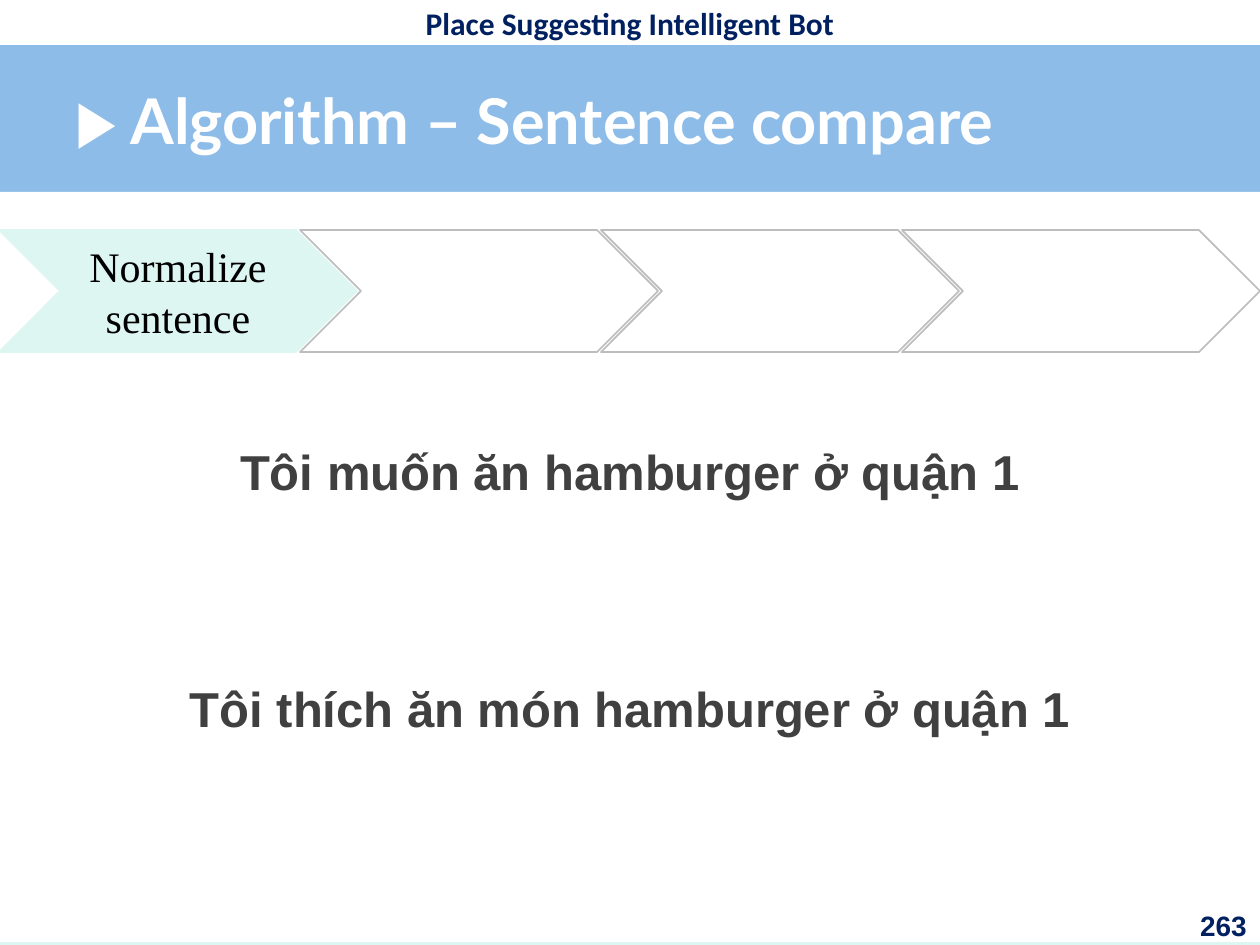
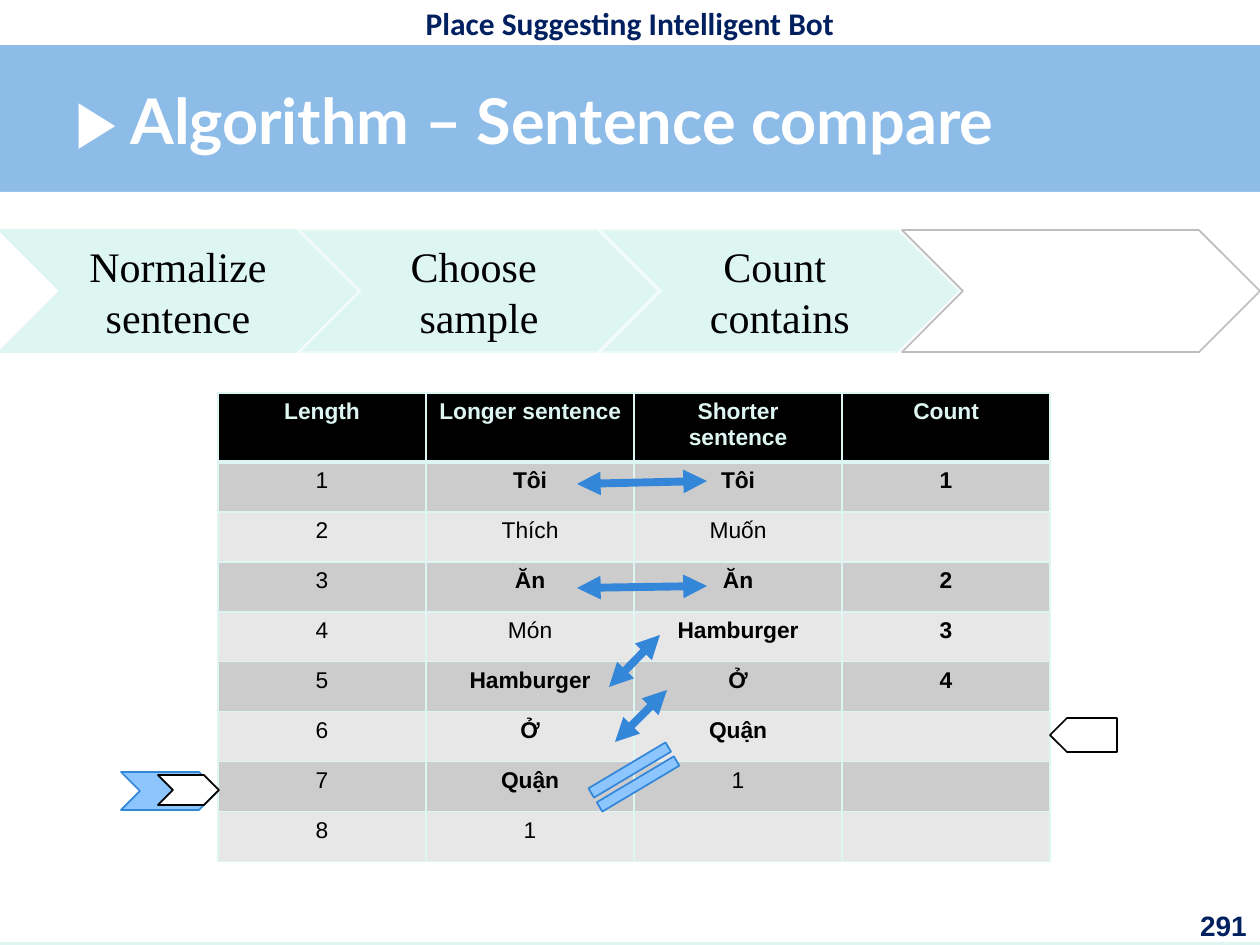
import pptx
import pptx.util
import pptx.dml.color
import pptx.enum.shapes
import pptx.enum.text
import pptx.oxml
import pptx.oxml.ns

# Content
TOPIC = "Place Suggesting Intelligent Bot"
TITLE = "▶ Algorithm – Sentence compare"
STEPS = [("Normalize", "sentence"), ("Choose ", "sample"), ("Count ", "contains"), ()]
LINES = [("Tôi muốn ăn hamburger ở quận 1", 435), ("Tôi thích ăn món hamburger ở quận 1", 672)]
HEADS = ["Length", "Longer sentence", "Shorter sentence", "Count"]
LONG = ["Tôi", "Thích", "Ăn", "Món", "Hamburger", "Ở", "Quận", "1"]
SHORT = ["Tôi", "Muốn", "Ăn", "Hamburger", "Ở", "Quận", "1", ""]
COUNT = ["1", "", "2", "3", "4", "", "", ""]
MATCH = {"Tôi", "Ăn", "Hamburger", "Ở", "Quận"}
LINKS = [(577, 484, 707, 481), (577, 588, 707, 586), (609, 687, 660, 635), (615, 742, 667, 690)]

# Shared look
MINT, WHITE, BLACK, NAVY = "DEF6F1", "FFFFFF", "000000", "002060"
BAND, SKY, BLUE, GREY, DARK = "7FB3E7", "8DC6FF", "3486D9", "BDBDBD", "404040"
WIDE, PX = 1260, 914400 / 126
KIND = pptx.enum.shapes.MSO_SHAPE
ALIGN = pptx.enum.text.PP_ALIGN
MID = pptx.enum.text.MSO_ANCHOR.MIDDLE
TOP = pptx.enum.text.MSO_ANCHOR.TOP


def emu(*nums):
    return [round(n * PX) for n in nums]


def paint(part, tone):
    part.solid()
    part.fore_color.rgb = pptx.dml.color.RGBColor.from_string(tone)


def style(para, face, size, tone, bold=False, align=ALIGN.CENTER):
    para.alignment = align
    para.font.name, para.font.size, para.font.bold = face, pptx.util.Pt(size), bold
    paint(para.font.fill, tone)


def write(shape, rows, *look, anchor=MID, wrap=False, **more):
    frame = shape.text_frame
    frame.word_wrap, frame.vertical_anchor = wrap, anchor
    frame.text = "\n".join(rows)
    for para in frame.paragraphs:
        style(para, *look, **more)


def label(slide, box, text, *look, **more):
    write(slide.shapes.add_textbox(*emu(*box)), [text], *look, **more)


def block(slide, kind, box, fill, edge=None, turn=0):
    shape = slide.shapes.add_shape(kind, *emu(*box))
    shape.shadow.inherit = False
    shape.rotation = turn
    paint(shape.fill, fill)
    if edge:
        paint(shape.line.fill, edge)
        shape.line.width = pptx.util.Pt(1)
    else:
        shape.line.fill.background()
    return shape


def child(node, tag, **attrs):
    item = pptx.oxml.parse_xml(f'<a:{tag} {pptx.oxml.ns.nsdecls("a")}/>')
    for key, val in attrs.items():
        item.set(key, str(val))
    node.append(item)
    return item


def arrow(slide, ends):
    line = slide.shapes.add_connector(pptx.enum.shapes.MSO_CONNECTOR.STRAIGHT, *emu(*ends))
    paint(line.line.fill, BLUE)
    line.line.width = pptx.util.Pt(4.5)
    for tag in ("headEnd", "tailEnd"):
        child(line.line._get_or_add_ln(), tag, type="triangle")
    child(line._element.spPr, "effectLst")


def frame(deck, page, done):
    """Add a slide with bands, title, page number and the step row."""
    slide = deck.slides.add_slide(deck.slide_layouts[6])
    paint(slide.background.fill, MINT)
    band = block(slide, KIND.RECTANGLE, (0, 0, WIDE, 195), BAND)
    tone = band._element.spPr.find(".//" + pptx.oxml.ns.qn("a:srgbClr"))
    child(tone, "alpha", val=85000)
    block(slide, KIND.RECTANGLE, (0, 0, WIDE, 45), WHITE)
    block(slide, KIND.RECTANGLE, (0, 192, WIDE, 750), WHITE)
    label(slide, (63, 0, 1134, 45), TOPIC, "Calibri", 18, NAVY, True)
    label(slide, (63, 44, 1134, 151), TITLE, "Lato", 36, WHITE, True, wrap=True, align=ALIGN.LEFT)
    label(slide, (1182, 902, 77, 43), page, "Arial", 16, NAVY, True,
          anchor=TOP, wrap=True, align=ALIGN.RIGHT)
    for i, words in enumerate(STEPS):
        fill, edge = (MINT, "ECFAF7" if i else MINT) if i < done else (WHITE, GREY)
        step = block(slide, KIND.CHEVRON, (301 * i - 1, 230, 358, 122), fill, edge)
        if i < done:
            write(step, words, "Times New Roman", 24, BLACK)
    return slide


def rule(cell, top, bottom):
    props = cell._tc.get_or_add_tcPr()
    for tag, size in (("lnL", 1), ("lnR", 1), ("lnT", top), ("lnB", bottom)):
        edge = child(props, tag, w=size * 12700)
        child(child(edge, "solidFill"), "srgbClr", val=MINT)


def grid(slide):
    """Add the word table; matched words and counts are bold."""
    rows = [HEADS] + [[str(n), *words] for n, words in enumerate(zip(LONG, SHORT, COUNT), 1)]
    table = slide.shapes.add_table(len(rows), len(HEADS), *emu(218, 393, 832, 469)).table
    for col in table.columns:
        col.width = emu(208)[0]
    for r, row in enumerate(rows):
        table.rows[r].height = emu(50 if r else 69)[0]
        for c, text in enumerate(row):
            cell = table.cell(r, c)
            cell.text = text
            bold = r == 0 or c == 3 or text in MATCH
            style(cell.text_frame.paragraphs[0], "Arial", 13, BLACK if r else MINT, bold)
            rule(cell, 3 if r == 1 else 1, 1 if r else 3)
            paint(cell.fill, ("E7E7E7", "CCCCCC")[r % 2] if r else BLACK)


def main():
    deck = pptx.Presentation()
    deck.slide_width, deck.slide_height = emu(WIDE, 945)

    # Two sentences to compare
    slide = frame(deck, "263", 1)
    for text, y in LINES:
        label(slide, (171, y, 918, 72), text, "Arial", 28, DARK, True, anchor=TOP)

    # Word count with links and row markers
    slide = frame(deck, "291", 3)
    grid(slide)
    for ends in LINKS:
        arrow(slide, ends)
    block(slide, KIND.CHEVRON, (121, 772, 97, 38), SKY, BLUE)
    block(slide, KIND.CHEVRON, (158, 775, 61, 30), WHITE, BLACK)
    block(slide, KIND.PENTAGON, (1050, 718, 67, 34), WHITE, BLACK, 180)
    block(slide, KIND.MATH_EQUAL, (573, 754, 122, 46), SKY, BLUE, 329.2)
    deck.save("out.pptx")


if __name__ == "__main__":
    main()
